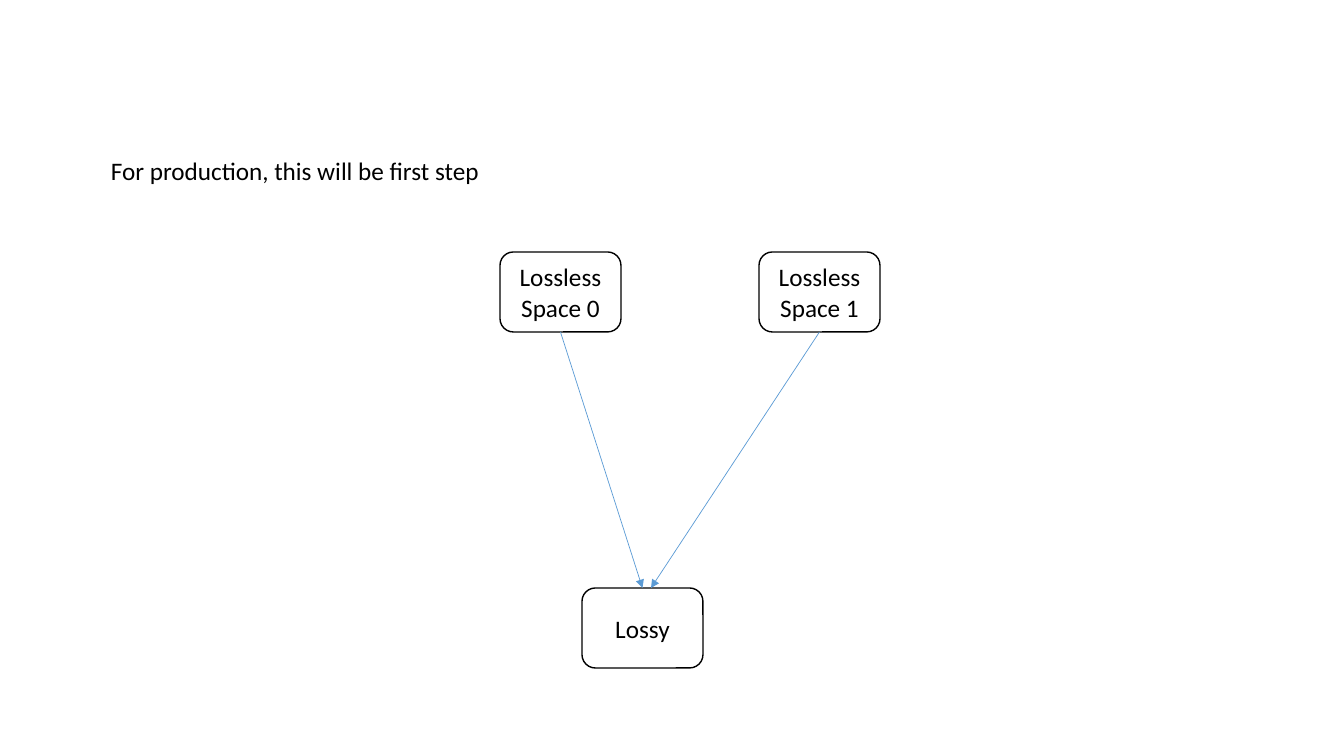
from lxml.etree import SubElement
from pptx import Presentation
from pptx.dml.color import RGBColor
from pptx.enum.shapes import MSO_CONNECTOR, MSO_SHAPE
from pptx.enum.text import MSO_ANCHOR, MSO_AUTO_SIZE, PP_ALIGN
from pptx.oxml.ns import qn
from pptx.util import Pt

EMU_PER_PX = 914400 / 100.8
COLORS = {"paper": "FFFFFF", "ink": "000000", "arrow": "5B9BD5"}
FONT = {"name": "Calibri", "size": Pt(18)}
STAGE_FRAME = {"word_wrap": True, "vertical_anchor": MSO_ANCHOR.MIDDLE}
NOTE_FRAME = {"word_wrap": False, "auto_size": MSO_AUTO_SIZE.SHAPE_TO_FIT_TEXT}
STAGE_WIDTH, STAGE_HEIGHT = 121, 80
TOP, BOTTOM = 0, 2


def px(*lengths):
    return [round(length * EMU_PER_PX) for length in lengths]


def color(name):
    return RGBColor.from_string(COLORS[name])


def apply_format(target, values):
    for attribute, value in values.items():
        setattr(target, attribute, value)


def write(frame, wording, frame_format, alignment):
    apply_format(frame, frame_format)
    paragraph = frame.paragraphs[0]
    paragraph.text = wording
    paragraph.alignment = alignment
    apply_format(paragraph.font, FONT)
    paragraph.font.color.rgb = color("ink")


def add_note(slide, left, top, width, height):
    note = slide.shapes.add_textbox(*px(left, top, width, height))
    write(note.text_frame, "For production, this will be first step", NOTE_FRAME, PP_ALIGN.LEFT)


def add_stage(slide, wording, left, top):
    stage = slide.shapes.add_shape(
        MSO_SHAPE.ROUNDED_RECTANGLE, *px(left, top, STAGE_WIDTH, STAGE_HEIGHT))
    stage.shadow.inherit = False
    stage.fill.solid()
    stage.fill.fore_color.rgb = color("paper")
    stage.line.color.rgb = color("ink")
    stage.line.width = Pt(1)
    write(stage.text_frame, wording, STAGE_FRAME, PP_ALIGN.CENTER)
    return stage


def add_arrow(slide, source, end_x, end_y):
    arrow = slide.shapes.add_connector(MSO_CONNECTOR.STRAIGHT, 0, 0, *px(end_x, end_y))
    arrow.begin_connect(source, BOTTOM)
    arrow.line.color.rgb = color("arrow")
    arrow.line.width = Pt(0.5)
    SubElement(arrow.line._get_or_add_ln(), qn("a:tailEnd"), type="triangle")
    SubElement(arrow._element.spPr, qn("a:effectLst"))
    return arrow


def add_flow(slide, left, top, width, height):
    lossy_left, lossy_top = left + 82, top + height - STAGE_HEIGHT
    space_0 = add_stage(slide, "Lossless Space 0", left, top)
    space_1 = add_stage(slide, "Lossless Space 1", left + width - STAGE_WIDTH, top)
    lossy = add_stage(slide, "Lossy", lossy_left, lossy_top)
    add_arrow(slide, space_0, lossy_left, lossy_top).end_connect(lossy, TOP)
    add_arrow(slide, space_1, lossy_left + 69, lossy_top)


def main():
    presentation = Presentation()
    presentation.slide_width, presentation.slide_height = px(1344, 756)
    slide = presentation.slides.add_slide(presentation.slide_layouts[6])
    add_flow(slide, 500, 252, 380, 416)
    add_note(slide, 101, 150, 399, 40)
    presentation.save("out.pptx")


if __name__ == "__main__":
    main()
